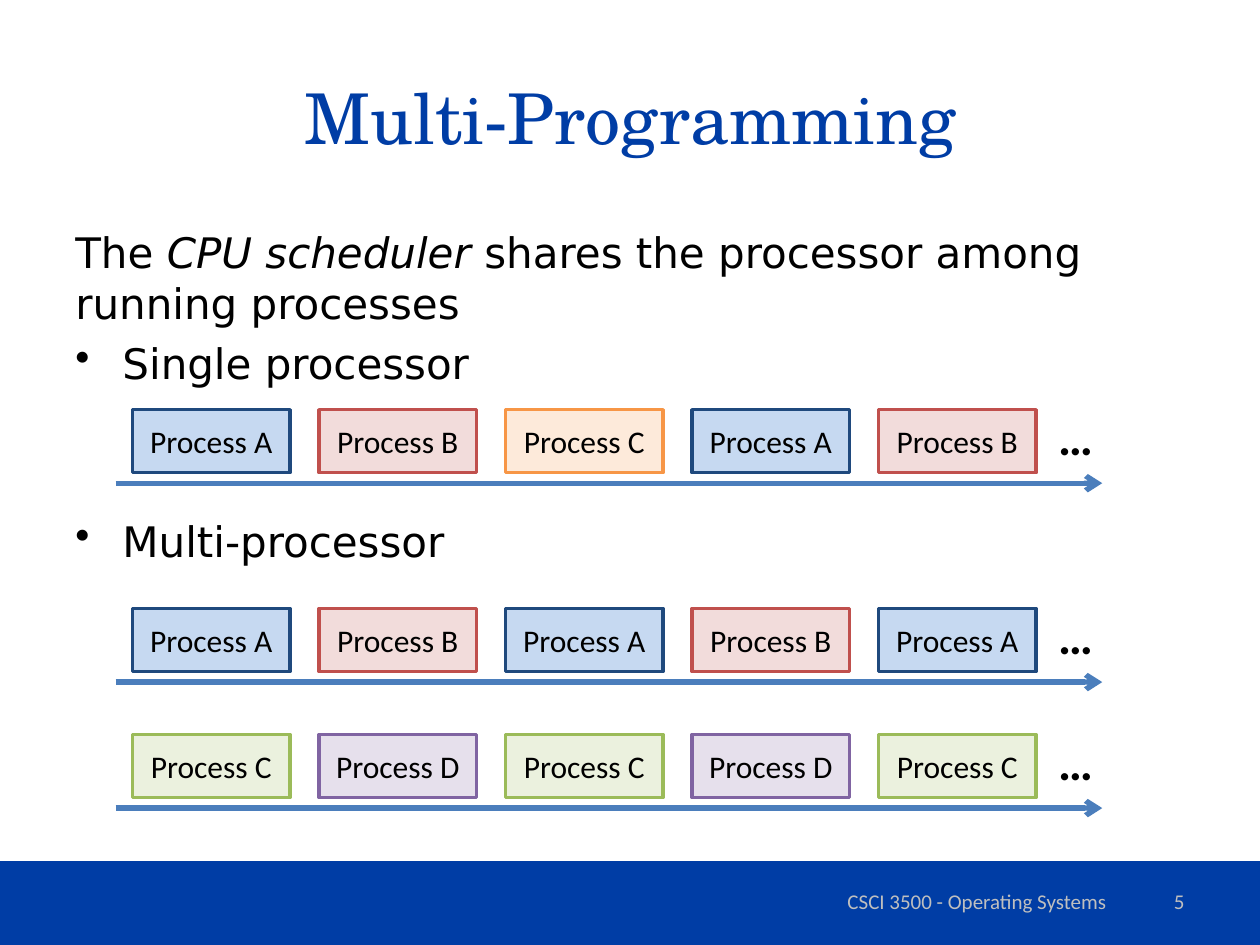
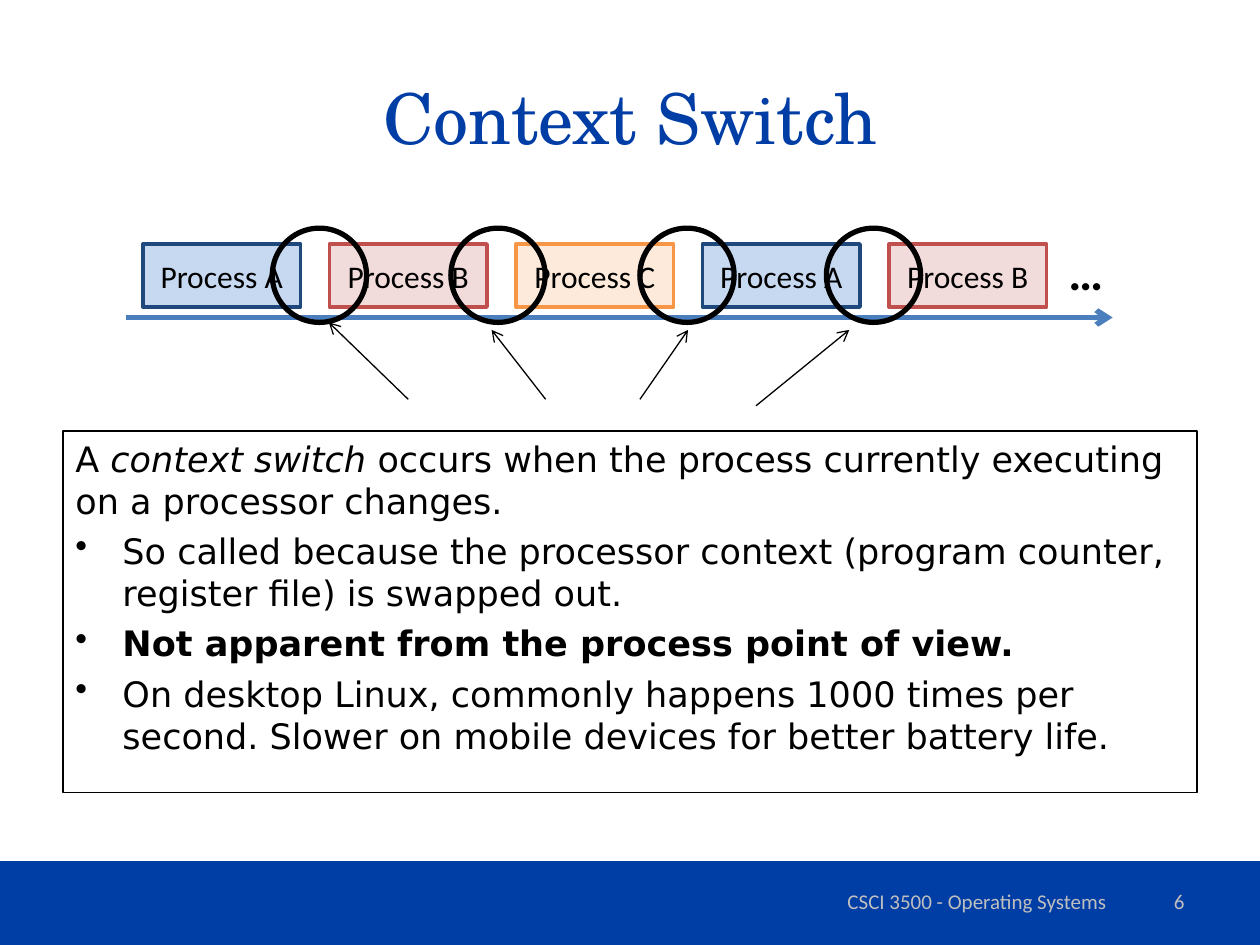
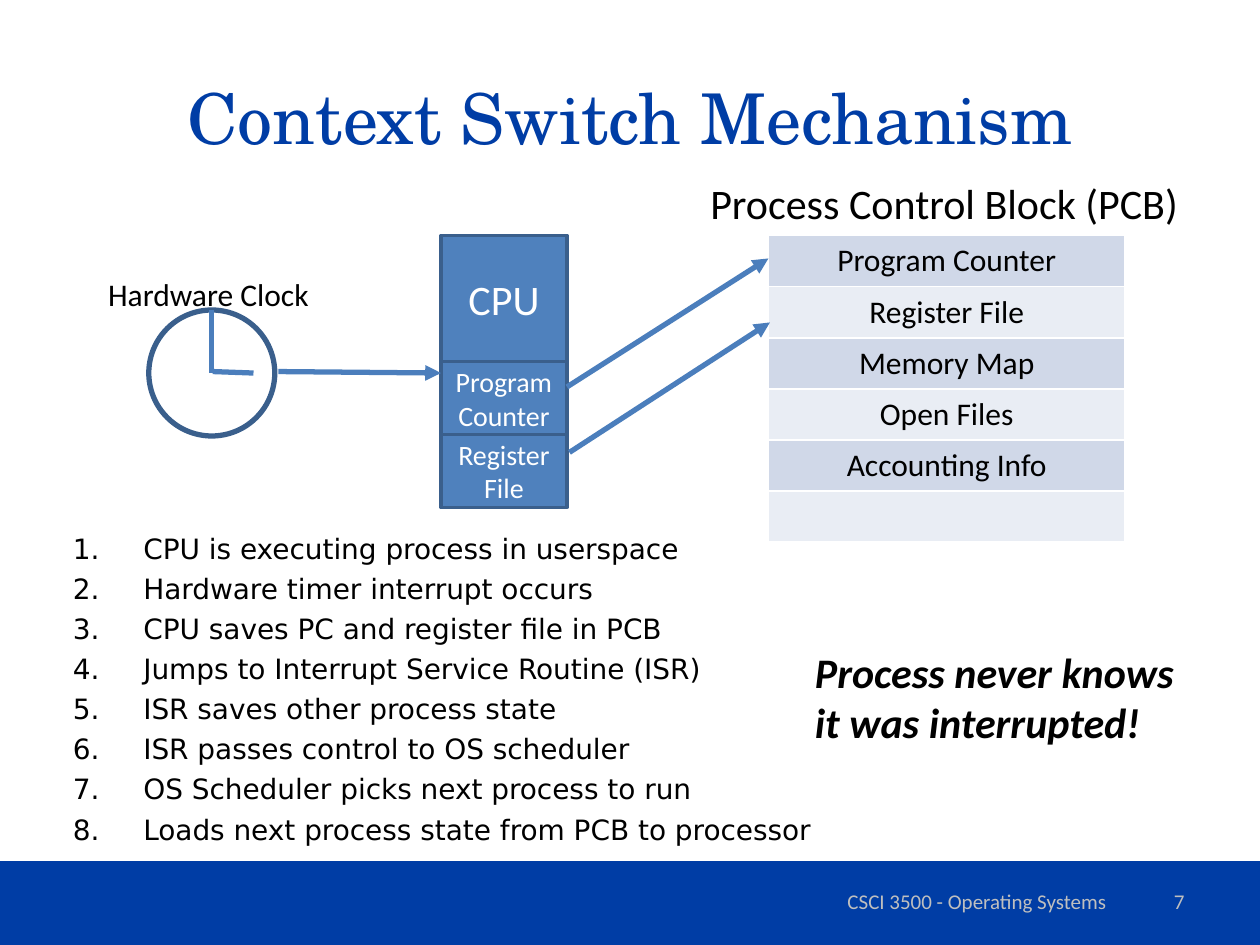
from pptx import Presentation
from pptx import util as u
from pptx.dml.color import RGBColor
from pptx.enum import shapes, text
from pptx.oxml.ns import qn
from lxml import etree

Cm, Pt = u.Cm, u.Pt
RECT, OVAL = shapes.MSO_SHAPE.RECTANGLE, shapes.MSO_SHAPE.OVAL
LEFT, CENTER, RIGHT = text.PP_ALIGN.LEFT, text.PP_ALIGN.CENTER, text.PP_ALIGN.RIGHT
TOP, MIDDLE = text.MSO_ANCHOR.TOP, text.MSO_ANCHOR.MIDDLE
rgb = RGBColor.from_string


class Theme:
    blue, black, white, footer = map(rgb, ("003DA5", "000000", "FFFFFF", "BFBFBF"))
    line, cpu, outline = map(rgb, ("4B7EBC", "4F81BD", "3A5F8C"))
    rows = [rgb("D0D8E8"), rgb("E9EDF4")]
    # Fill and line per process; lower-case c is process C on the second processor
    process = {"A": ("C6D9F1", "1F497D"), "B": ("F2DCDB", "C0504D"),
               "C": ("FDEADA", "F79646"), "c": ("EBF1DE", "9BBB59"),
               "D": ("E6E0EC", "8064A2")}
    heading, body, label = "TeX Gyre Schola", "DejaVu Sans", "Calibri"
    title, large, medium, normal, small, tiny = 40, 24, 20, 18, 16, 12
    dots = 28
    paragraph_gap = 0.233  # space before, as a share of the type size


def write(sp, paragraphs, size, color=Theme.black, font=Theme.label, align=LEFT,
          anchor=TOP, wrap=True, bold=None, italic=None):
    """Fill a shape with paragraphs, each a string or a tuple of runs."""
    tf = sp.text_frame
    tf.word_wrap, tf.vertical_anchor = wrap, anchor
    for i, runs in enumerate(paragraphs):
        p = tf.add_paragraph() if i else tf.paragraphs[0]
        first, *rest = (runs,) if isinstance(runs, str) else runs
        p.text, p.alignment = first, align
        for piece in rest:
            p.add_run().text = piece
        if i:
            p.space_before = Pt(round(size * Theme.paragraph_gap, 1))
        for r in p.runs:
            f = r.font
            f.size, f.name, f.bold, f.italic = Pt(size), font, bold, italic
            f.color.rgb = color
    return tf.paragraphs


def connect(s, x1, y1, x2, y2, color=Theme.line, width=3, head=None):
    """Draw a straight line, with an arrowhead at its end if one is named."""
    c = s.shapes.add_connector(shapes.MSO_CONNECTOR.STRAIGHT,
                               Cm(x1), Cm(y1), Cm(x2), Cm(y2))
    c.line.color.rgb, c.line.width = color, Pt(width)
    if head:
        etree.SubElement(c.line._get_or_add_ln(), qn("a:tailEnd"), type=head)
    etree.SubElement(c._element.spPr, qn("a:effectLst"))


prs = Presentation()
prs.slide_width, prs.slide_height = Cm(25.4), Cm(19.05)

# Shared band, title and footer
slides = []
for number, title in enumerate(
        ["Multi-Programming", "Context Switch", "Context Switch Mechanism"], start=5):
    s = prs.slides.add_slide(prs.slide_layouts[6])
    slides.append(s)
    band = s.shapes.add_shape(RECT, 0, Cm(17.36), prs.slide_width, Cm(1.69))
    band.shadow.inherit = False
    band.fill.solid()
    band.fill.fore_color.rgb = Theme.blue
    band.line.fill.background()
    for x, y, w, h, words, size, color, font, align in [
            (1.27, 0.76, 22.86, 3.18, title, Theme.title, Theme.blue, Theme.heading, CENTER),
            (15.67, 17.65, 8.05, 1.02, "CSCI 3500 - Operating Systems",
             Theme.tiny, Theme.footer, Theme.label, CENTER),
            (18.21, 17.65, 5.92, 1.02, str(number),
             Theme.tiny, Theme.footer, Theme.label, RIGHT)]:
        sp = s.shapes.add_textbox(Cm(x), Cm(y), Cm(w), Cm(h))
        write(sp, [words], size, color, font, align, MIDDLE)
multi, switch, mechanism = slides

# Multi-programming: body text, with room for the first timeline
sp = multi.shapes.add_textbox(Cm(1.27), Cm(4.45), Cm(22.86), Cm(12.57))
multi_body = write(sp, [("The ", "CPU scheduler",
                         " shares the processor among running processes"),
                        "Single processor", "Multi-processor"],
                   Theme.large, font=Theme.body)
multi_body[0].runs[1].font.italic = True
multi_body[2].space_before = Pt(72.8)

# Timelines of processes on both slides
for s, left, top, order in [(multi, 2.33, 8.26, "ABCAB"), (multi, 2.33, 12.27, "ABABA"),
                            (multi, 2.33, 14.81, "cDcDc"), (switch, 2.54, 4.92, "ABCAB")]:
    connect(s, left, top + 1.48, left + 19.89, top + 1.48, head="arrow")
    for i, key in enumerate(order):
        sp = s.shapes.add_shape(RECT, Cm(left + 0.34 + 3.76 * i), Cm(top), Cm(3.18), Cm(1.27))
        sp.shadow.inherit = False
        fill, line = Theme.process[key]
        sp.fill.solid()
        sp.fill.fore_color.rgb = rgb(fill)
        sp.line.color.rgb, sp.line.width = rgb(line), Pt(2)
        write(sp, [f"Process {key.upper()}"], Theme.normal, align=CENTER, anchor=MIDDLE)
    sp = s.shapes.add_textbox(Cm(left + 18.75), Cm(top - 0.18), Cm(1.22), Cm(1.45))
    write(sp, ["…"], Theme.dots, wrap=False, bold=True)

# Context switch: circles round the gaps, with arrows from the definition
for x, x1, y1, x2, y2 in [(5.49, 8.23, 8.05, 6.63, 6.5), (9.09, 11, 8.05, 9.91, 6.65),
                          (12.9, 12.9, 8.05, 13.87, 6.65), (16.66, 15.24, 8.18, 17.12, 6.65)]:
    sp = switch.shapes.add_shape(OVAL, Cm(x), Cm(4.6), Cm(1.9), Cm(1.9))
    sp.shadow.inherit = False
    sp.fill.background()
    sp.line.color.rgb, sp.line.width = Theme.black, Pt(3)
    connect(switch, x1, y1, x2, y2, Theme.black, 0.75, "arrow")

# Context switch: definition
sp = switch.shapes.add_shape(RECT, Cm(1.27), Cm(8.69), Cm(22.86), Cm(7.29))
sp.shadow.inherit = False
sp.fill.background()
sp.line.color.rgb, sp.line.width = Theme.black, Pt(0.75)
switch_body = write(sp, [
    ("A ", "context switch ",
     "occurs when the process currently executing on a processor changes."),
    "So called because the processor context (program counter, register file) "
    "is swapped out.",
    "Not apparent from the process point of view.",
    "On desktop Linux, commonly happens 1000 times per second. "
    "Slower on mobile devices for better battery life."], Theme.medium, font=Theme.body)
switch_body[0].runs[1].font.italic = True
switch_body[2].runs[0].font.bold = True

# Mechanism: process control block
fields = ["Program Counter", "Register File", "Memory Map", "Open Files", "Accounting Info", ""]
table = mechanism.shapes.add_table(len(fields), 1, Cm(15.49), Cm(4.75), Cm(7.19), Cm(6.18)).table
table.first_row = table.horz_banding = False
for i, field in enumerate(fields):
    cell = table.cell(i, 0)
    tcPr = cell._tc.get_or_add_tcPr()
    for side in ("lnL", "lnR", "lnT", "lnB"):
        ln = etree.SubElement(tcPr, qn(f"a:{side}"), w=str(Pt(1)))
        solid = etree.SubElement(ln, qn("a:solidFill"))
        etree.SubElement(solid, qn("a:srgbClr"), val=str(Theme.white))
    cell.fill.solid()
    cell.fill.fore_color.rgb = Theme.rows[i % 2]
    if field:
        write(cell, [field], Theme.normal, align=CENTER)

# Mechanism: hardware clock
sp = mechanism.shapes.add_shape(OVAL, Cm(3), Cm(6.25), Cm(2.54), Cm(2.54))
sp.shadow.inherit = False
sp.fill.background()
sp.line.color.rgb, sp.line.width = Theme.outline, Pt(3)
connect(mechanism, 4.27, 6.25, 4.27, 7.52)
connect(mechanism, 5.11, 7.52, 4.29, 7.49)

# Mechanism: processor
for y, h, words, size in [(4.75, 2.54, "CPU", Theme.large),
                          (7.29, 1.47, "Program Counter", Theme.small),
                          (8.76, 1.47, "Register\vFile", Theme.small)]:
    sp = mechanism.shapes.add_shape(RECT, Cm(8.89), Cm(y), Cm(2.54), Cm(h))
    sp.shadow.inherit = False
    sp.fill.solid()
    sp.fill.fore_color.rgb = Theme.cpu
    sp.line.color.rgb, sp.line.width = Theme.outline, Pt(2)
    write(sp, [words], size, Theme.white, align=CENTER, anchor=MIDDLE)

# Mechanism: interrupt and the two saves
for ends in [(5.61, 7.49, 8.89, 7.52), (11.43, 7.8, 15.49, 5.21), (11.48, 9.12, 15.52, 6.5)]:
    connect(mechanism, *ends, head="triangle")

# Mechanism: labels and conclusion
for x, y, w, h, words, size, strong in [
        (14.07, 3.45, 10.01, 1.27, "Process Control Block (PCB)", Theme.large, None),
        (1.93, 5.41, 4.6, 1.02, "Hardware Clock", Theme.normal, None),
        (16.18, 12.9, 7.8, 2.31, "Process never knows\vit was interrupted!", Theme.large, True)]:
    sp = mechanism.shapes.add_textbox(Cm(x), Cm(y), Cm(w), Cm(h))
    write(sp, [words], size, wrap=False, bold=strong, italic=strong)

# Mechanism: steps
sp = mechanism.shapes.add_textbox(Cm(1.22), Cm(10.59), Cm(22.86), Cm(6.99))
steps = write(sp, [
    "CPU is executing process in userspace",
    "Hardware timer interrupt occurs",
    "CPU saves PC and register file in PCB",
    "Jumps to Interrupt Service Routine (ISR)",
    "ISR saves other process state",
    "ISR passes control to OS scheduler",
    "OS Scheduler picks next process to run",
    "Loads next process state from PCB to processor"], Theme.small, font=Theme.body)

# Bullets and numbers
for paragraphs, indent, tag, attributes in [
        (multi_body[1:] + switch_body[1:], 0.95, "a:buChar", {"char": "•"}),
        (steps, 1.42, "a:buAutoNum", {"type": "arabicPeriod"})]:
    for p in paragraphs:
        pPr = p._p.get_or_add_pPr()
        pPr.set("marL", str(Cm(indent)))
        pPr.set("indent", str(-Cm(indent)))
        etree.SubElement(pPr, qn(tag), attributes)

prs.save("out.pptx")
